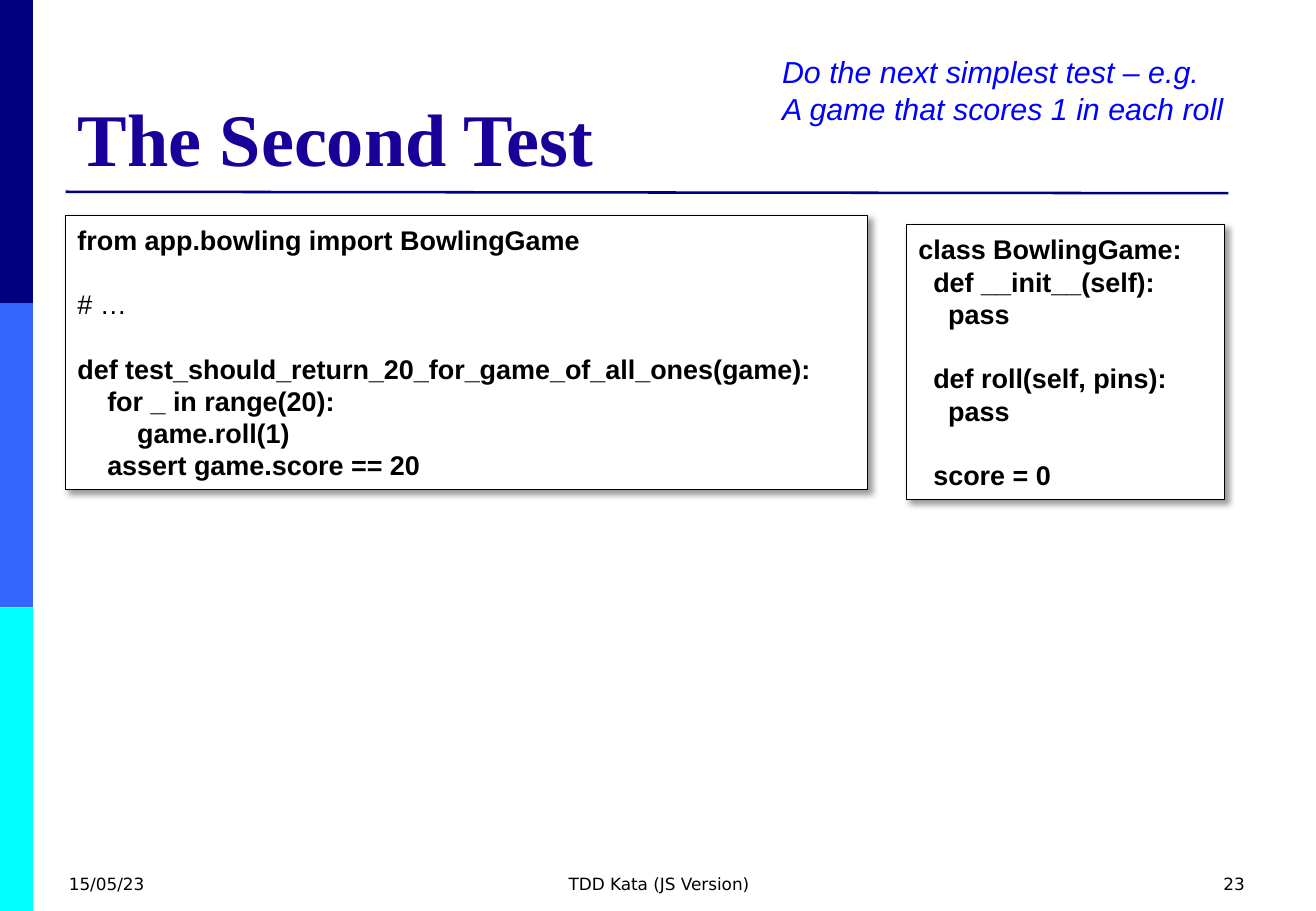
"""Build the slide "The Second Test" with two code boxes and a hint."""
from lxml import etree
from pptx import Presentation, oxml
from pptx import util as u
from pptx.dml.color import RGBColor
from pptx.enum import shapes, text

COLOURS = {
    "navy": "000080", "azure": "3366FF", "cyan": "00FFFF", "title": "170199",
    "hint": "0000FF", "ink": "000000", "paper": "FFFFFF",
}
SHADOW = (
    '<a:effectLst xmlns:a="http://schemas.openxmlformats.org/drawingml/2006/main">'
    '<a:outerShdw blurRad="50800" dist="38100" dir="2700000" algn="tl" rotWithShape="0">'
    f'<a:srgbClr val="{COLOURS["ink"]}"><a:alpha val="40000"/></a:srgbClr>'
    '</a:outerShdw></a:effectLst>'
)


def colour(name):
    return RGBColor.from_string(COLOURS[name])


def write(box, lines, ink, align="LEFT", pitch=None, **style):
    """Fill a box with lines; an empty line becomes space before the next one."""
    frame = box.text_frame
    gap = False
    para = None
    for line in lines:
        if not line:
            gap = True
            continue
        para = frame.paragraphs[0] if para is None else frame.add_paragraph()
        para.alignment = getattr(text.PP_ALIGN, align)
        if pitch:
            para.line_spacing = u.Pt(pitch)
        if gap:
            para.space_before = u.Pt(pitch)
        gap = False
        span = para.add_run()
        span.text = line
        for name, value in style.items():
            setattr(span.font, name, value)
        if line.startswith("#"):
            span.font.bold = False
        span.font.color.rgb = colour(ink)


deck = Presentation()
deck.slide_width, deck.slide_height = u.Cm(27.51), u.Cm(19.05)
page = deck.slides.add_slide(deck.slide_layouts[5])

for row, name in enumerate(("navy", "azure", "cyan")):
    band = page.shapes.add_shape(
        shapes.MSO_SHAPE.RECTANGLE, 0, u.Cm(6.35 * row), u.Cm(0.69), u.Cm(6.35))
    band.shadow.inherit = False
    band.fill.solid()
    band.fill.fore_color.rgb = colour(name)
    band.line.fill.background()

rule = page.shapes.add_connector(
    shapes.MSO_CONNECTOR.STRAIGHT, u.Cm(1.37), u.Cm(4.01), u.Cm(25.68), u.Cm(4.04))
rule.line.color.rgb = colour("navy")
rule.line.width = u.Pt(1.5)
etree.SubElement(rule._element.spPr, oxml.ns.qn("a:effectLst"))

title = page.shapes.title
title.left, title.top, title.width, title.height = map(u.Cm, (1.37, 0.76, 24.77, 3.15))
title.text_frame.auto_size = text.MSO_AUTO_SIZE.NONE
title.text_frame.vertical_anchor = text.MSO_ANCHOR.BOTTOM
write(title, ["The Second Test"], "title",
      name="Times New Roman", size=u.Pt(44), bold=True)

footers = [
    (1.19, 6.43, "LEFT", "15/05/23"),
    (9.42, 8.71, "CENTER", "TDD Kata (JS Version)"),
    (19.84, 6.43, "RIGHT", "23"),
]
for left, width, align, label in footers:
    footer = page.shapes.add_textbox(u.Cm(left), u.Cm(18.14), u.Cm(width), u.Cm(0.91))
    footer.text_frame.word_wrap = True
    write(footer, [label], "ink", align, name="DejaVu Sans", size=u.Pt(10))

hint = page.shapes.add_textbox(u.Cm(16.1), u.Cm(0.97), u.Cm(9.83), u.Cm(1.8))
hint.text_frame.word_wrap = False
write(hint, ["Do the next simplest test – e.g.", "A game that scores 1 in each roll"],
      "hint", pitch=21.9, name="Arial", size=u.Pt(18), italic=True)

game_code = """class BowlingGame:
  def __init__(self):
    pass

  def roll(self, pins):
    pass

  score = 0"""
test_code = """from app.bowling import BowlingGame

# …

def test_should_return_20_for_game_of_all_ones(game):
    for _ in range(20):
        game.roll(1)
    assert game.score == 20"""

for left, top, width, code in ((18.95, 4.7, 6.65, game_code), (1.37, 4.5, 16.76, test_code)):
    box = page.shapes.add_shape(
        shapes.MSO_SHAPE.RECTANGLE, u.Cm(left), u.Cm(top), u.Cm(width), u.Cm(5.74))
    box.fill.solid()
    box.fill.fore_color.rgb = colour("paper")
    box.line.color.rgb = colour("ink")
    box.line.width = u.Pt(0.75)
    box._element.spPr.append(oxml.parse_xml(SHADOW))
    box.text_frame.word_wrap = True
    box.text_frame.vertical_anchor = text.MSO_ANCHOR.MIDDLE
    write(box, code.split("\n"), "ink", pitch=19.1,
          name="Arial", size=u.Pt(16), bold=True)

deck.save("out.pptx")
